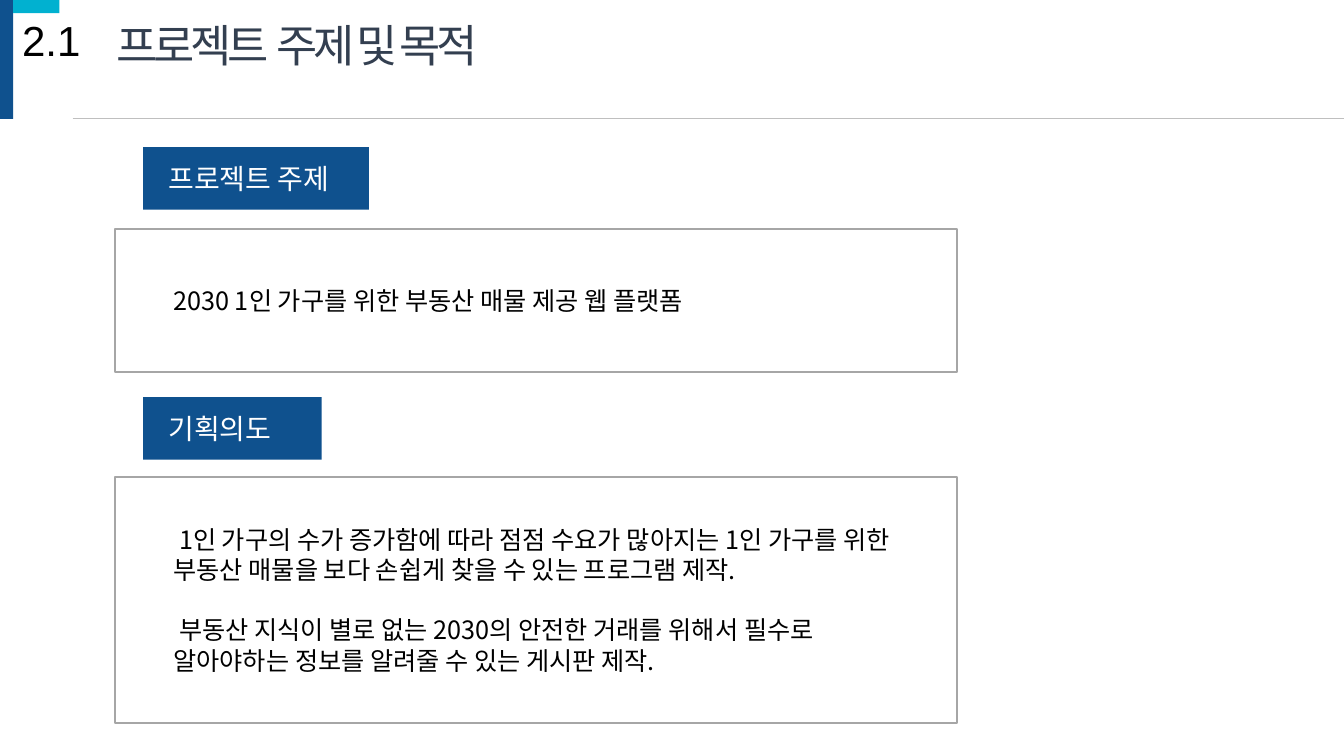
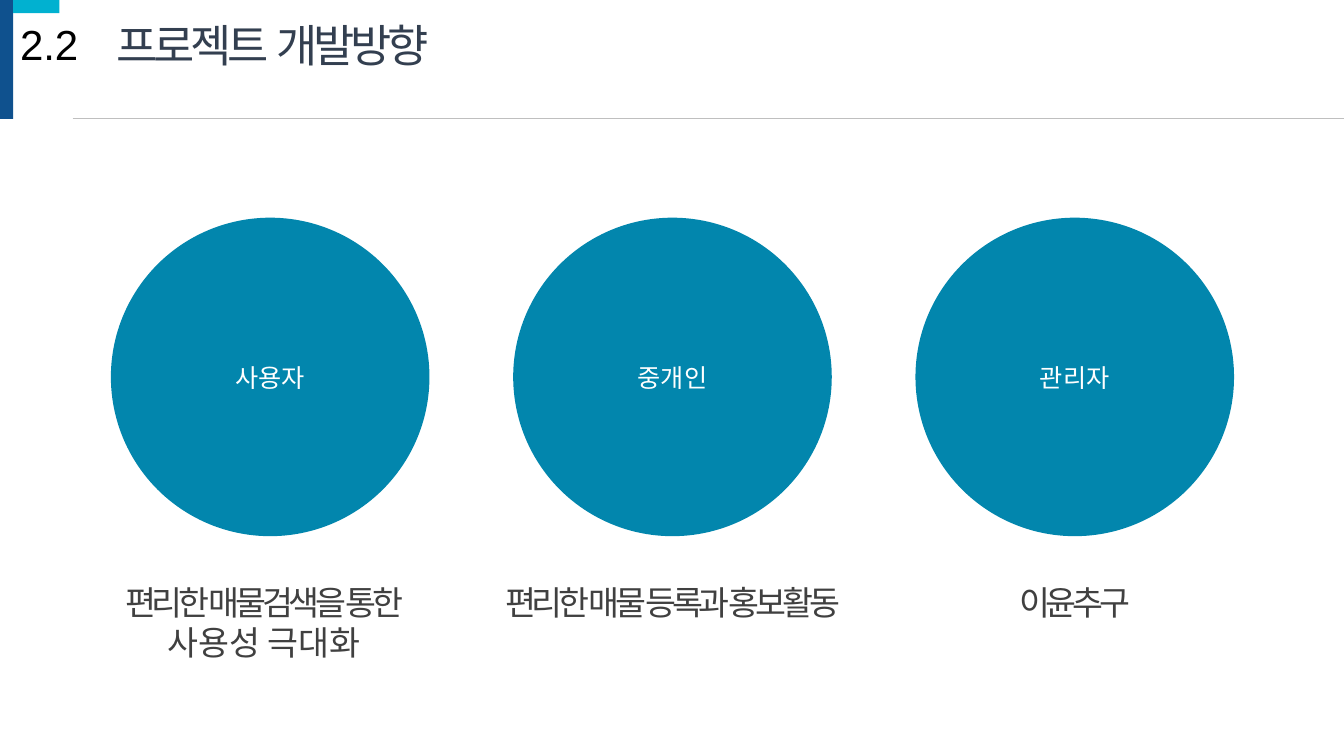
from dataclasses import dataclass

from lxml import etree
from pptx import Presentation
from pptx.dml.color import RGBColor
from pptx.enum.shapes import MSO_CONNECTOR, MSO_SHAPE
from pptx.enum.text import MSO_ANCHOR as Anchor, PP_ALIGN as Align
from pptx.oxml.ns import qn
from pptx.util import Inches, Pt


@dataclass(frozen=True)
class Theme:
    navy: str = "0F518E"
    cyan: str = "01B1D0"
    teal: str = "0286AD"
    rule: str = "BFBFBF"
    border: str = "A6A6A6"
    heading: str = "333F50"
    caption: str = "404040"
    black: str = "000000"
    white: str = "FFFFFF"
    latin: str = "Arial"
    korean: str = "Noto Sans CJK KR"
    title_size: int = 32
    number_size: int = 30
    caption_size: int = 24
    label_size: int = 20
    body_size: int = 18
    tight: int = -300


theme = Theme()


def add_box(slide, kind, at, fill=None, line=None):
    """Add a shape, or a text box when kind is None."""
    at = [Inches(value) for value in at]
    if kind is None:
        return slide.shapes.add_textbox(*at)
    shape = slide.shapes.add_shape(kind, *at)
    shape.shadow.inherit = False
    if fill:
        shape.fill.solid()
        shape.fill.fore_color.rgb = RGBColor.from_string(fill)
    else:
        shape.fill.background()
    if line:
        shape.line.color.rgb = RGBColor.from_string(line)
        shape.line.width = Pt(1.5)
    else:
        shape.line.fill.background()
    return shape


def write(shape, lines, size, color, font=theme.korean, align=Align.LEFT,
          gap=0, spacings=(0,), **frame_format):
    """Write one paragraph per line, with letter spacing per paragraph."""
    frame = shape.text_frame
    for name, value in {"word_wrap": True, **frame_format}.items():
        setattr(frame, name, value)
    for index, line in enumerate(lines):
        paragraph = frame.paragraphs[0] if index == 0 else frame.add_paragraph()
        paragraph.alignment = align
        if index:
            paragraph.space_before = Pt(gap)
        run = paragraph.add_run()
        run.text = line
        for name, value in {"size": Pt(size), "name": font}.items():
            setattr(run.font, name, value)
        run.font.color.rgb = RGBColor.from_string(color)
        properties = run._r.get_or_add_rPr()
        etree.SubElement(properties, qn("a:ea")).set("typeface", theme.korean)
        if spacings[index % len(spacings)]:
            properties.set("spc", str(spacings[index % len(spacings)]))


presentation = Presentation()
presentation.slide_width = Inches(13.33)
presentation.slide_height = Inches(7.5)

# Header shared by both slides: number, number position, title
headers = [
    ("2.1", (0.12, 0.09), "프로젝트  주제 및 목적"),
    ("2.2", (0.1, 0.13), "프로젝트  개발방향"),
]
slides = []
for number, (left, top), title in headers:
    slide = presentation.slides.add_slide(presentation.slide_layouts[6])
    slides.append(slide)
    add_box(slide, MSO_SHAPE.RECTANGLE, (0, 0, 0.13, 1.18), theme.navy)
    add_box(slide, MSO_SHAPE.RECTANGLE, (0.13, 0, 0.46, 0.13), theme.cyan)
    rule = slide.shapes.add_connector(
        MSO_CONNECTOR.STRAIGHT, Inches(0.72), Inches(1.17), Inches(13.33), Inches(1.17))
    rule.line.color.rgb = RGBColor.from_string(theme.rule)
    rule.line.width = Pt(0.5)
    etree.SubElement(rule._element.spPr, qn("a:effectLst"))
    write(add_box(slide, None, (left, top, 0.81, 0.61)), [number],
          theme.number_size, theme.black, theme.latin, word_wrap=False)
    write(add_box(slide, None, (1.06, 0.13, 6, 0.64)), [title],
          theme.title_size, theme.heading, theme.latin, spacings=(theme.tight,))

topic_slide, direction_slide = slides

# Topic and intent: a label above a framed text
sections = [
    ("프로젝트 주제", 1.46, 2.24, 2.27, 1.42,
     ["2030 1인 가구를 위한 부동산 매물 제공 웹 플랫폼"]),
    ("기획의도", 3.94, 1.77, 4.73, 2.44,
     [" 1인 가구의 수가 증가함에 따라 점점 수요가 많아지는 1인 가구를 위한 "
      "부동산 매물을 보다 손쉽게 찾을 수 있는 프로그램 제작.",
      " 부동산 지식이 별로 없는 2030의 안전한 거래를 위해서 필수로 "
      "알아야하는 정보를 알려줄 수 있는 게시판 제작."]),
]
for label, label_top, label_width, card_top, card_height, texts in sections:
    tag = add_box(topic_slide, MSO_SHAPE.RECTANGLE,
                  (1.42, label_top, label_width, 0.62), theme.navy)
    write(tag, [label], theme.label_size, theme.white,
          margin_left=Inches(0.25), vertical_anchor=Anchor.MIDDLE)
    card = add_box(topic_slide, MSO_SHAPE.RECTANGLE,
                   (1.14, card_top, 8.35, card_height), line=theme.border)
    write(card, texts, theme.body_size, theme.black, gap=21.5,
          margin_left=Inches(0.58), margin_right=Inches(0.34),
          vertical_anchor=Anchor.MIDDLE)

# Direction: three circles with captions
diameter, pitch, caption_width = 3.16, 3.99, 3.98
roles = [
    ("사용자", 2.62, ["편리한 매물검색을 통한", "사용성 극대화"]),
    ("중개인", 6.67, ["편리한 매물 등록과 홍보활동"]),
    ("관리자", 10.66, ["이윤추구"]),
]
for column, (role, caption_center, caption) in enumerate(roles):
    circle = add_box(direction_slide, MSO_SHAPE.OVAL,
                     (1.1 + column * pitch, 2.16, diameter, diameter), theme.teal)
    write(circle, [role], theme.body_size, theme.white, theme.latin, Align.CENTER,
          vertical_anchor=Anchor.MIDDLE)
    caption_box = add_box(direction_slide, None,
                          (caption_center - caption_width / 2, 5.72, caption_width, 0.5))
    write(caption_box, caption, theme.caption_size, theme.caption,
          align=Align.CENTER, spacings=(theme.tight, 0))

presentation.save("out.pptx")
